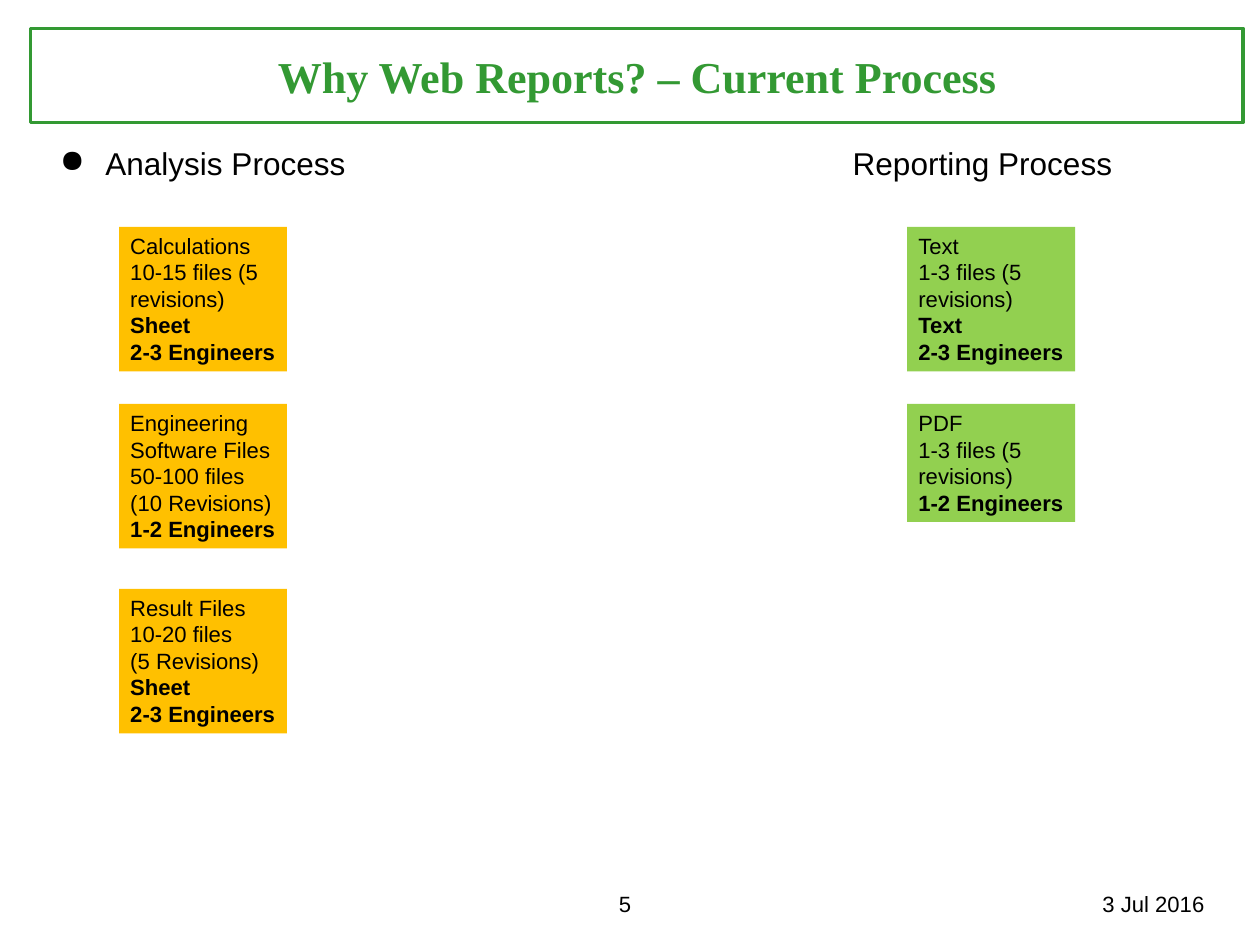
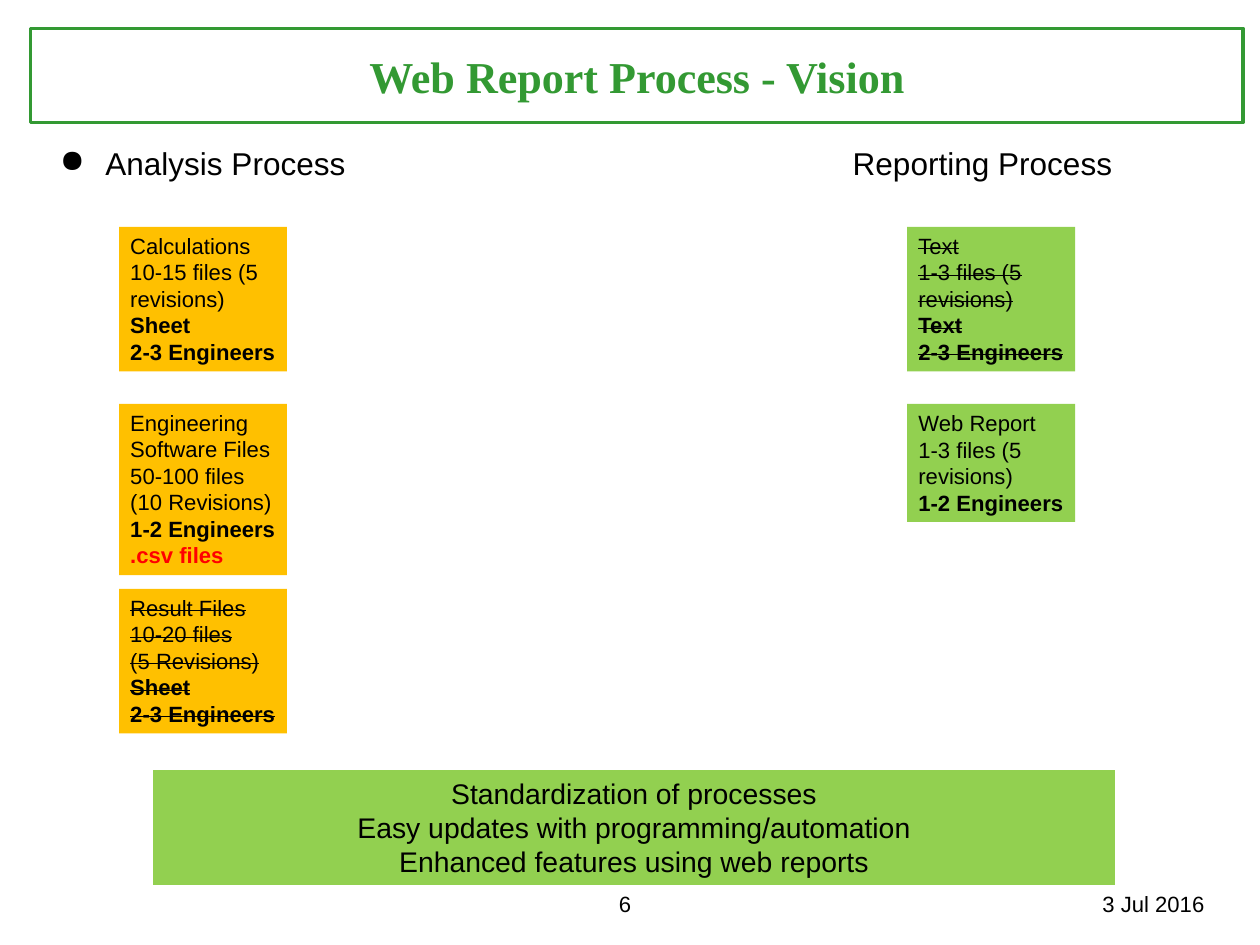
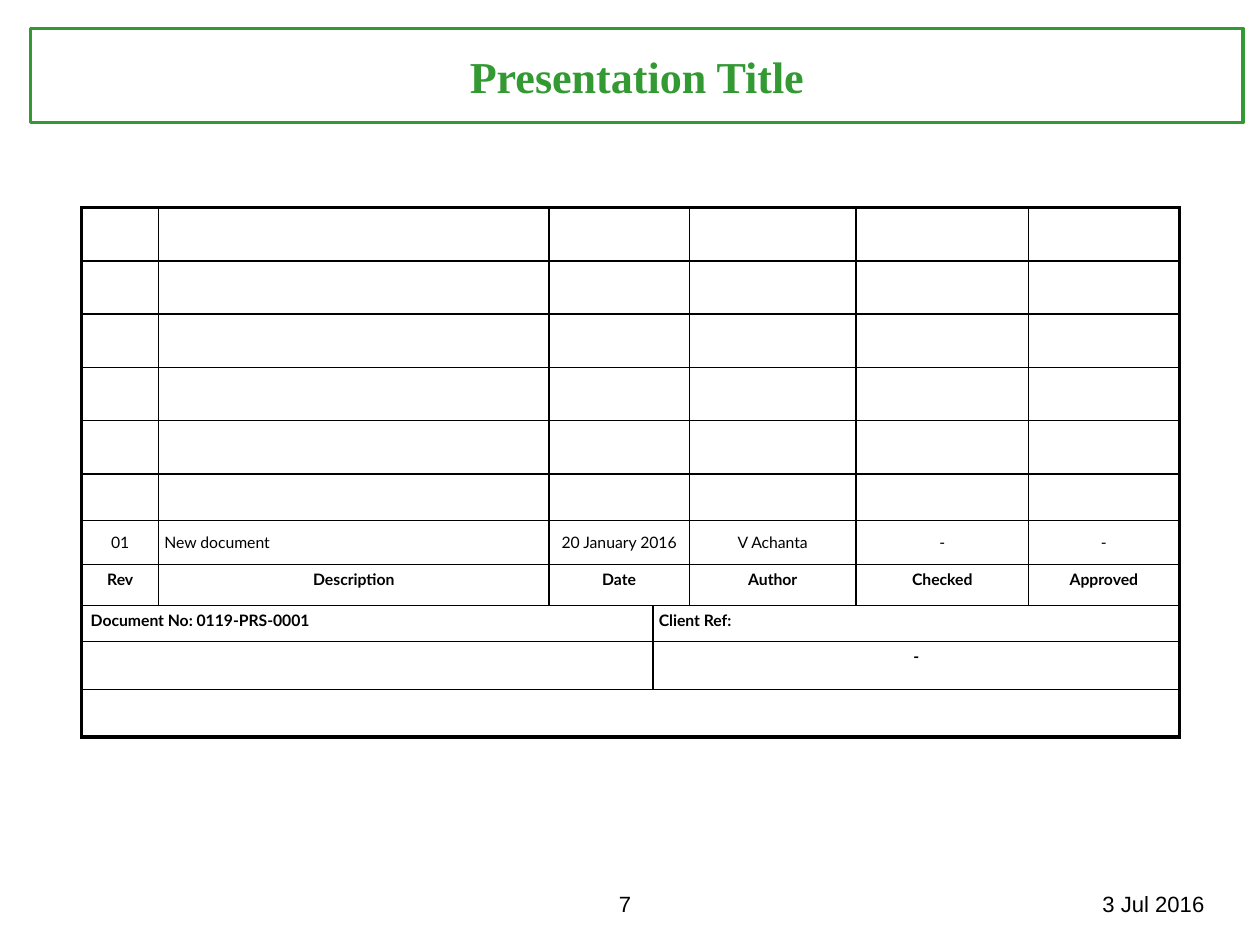
"""Build three slides on the move from current reporting to web reports."""
from lxml import etree
from pptx import Presentation
from pptx import util as u
from pptx.dml import color as dml
from pptx.enum import shapes, text
from pptx.oxml import ns

WIDTH, HEIGHT = u.Inches(11.11), u.Inches(8.33)
COLUMN, ROW = WIDTH / 100, HEIGHT / 100
COLORS = {
    "title": "339933",
    "analysis": "FFC000",
    "reporting": "92D050",
    "text": "000000",
    "alert": "FF0000",
}
CENTER, LEFT = text.PP_ALIGN.CENTER, text.PP_ALIGN.LEFT
ANALYSIS_X, REPORTING_X = 9.45, 72
STEP_ROWS = (24, 42.74, 62.3)
TABLE_COLUMNS = (6.12, 30.96, 8.28, 2.88, 13.23, 13.68, 11.97)
TABLE_ROWS = (5.64,) * 5 + (4.92, 4.68, 4.32, 3.84, 5.04, 5.04)
DATE_COLUMN, CLIENT_COLUMN = 2, 3

CALCULATIONS = (["Calculations", "10-15 files (5 revisions)"], ["Sheet", "2-3 Engineers"])
SOFTWARE = (["Engineering Software Files", "50-100 files (10 Revisions)"], ["1-2 Engineers"])
RESULTS = (["Result Files", "10-20 files", "(5 Revisions)"], ["Sheet", "2-3 Engineers"])
DRAFT = (["Text", "1-3 files (5 revisions)"], ["Text", "2-3 Engineers"])
BENEFITS = [
    "Standardization of processes",
    "Easy updates with programming/automation",
    "Enhanced features using web reports",
]


def rgb(name):
    """Return the named colour."""
    return dml.RGBColor.from_string(COLORS[name])


def place(x, y, width, height):
    """Turn grid columns and rows into lengths."""
    return [u.Emu(round(n)) for n in (x * COLUMN, y * ROW, width * COLUMN, height * ROW)]


def write(paragraph, words, size, color="text", bold=False, font="Arial", align=LEFT):
    """Fill and style one paragraph."""
    paragraph.text = words
    paragraph.alignment = align
    paragraph.font.name = font
    paragraph.font.size = u.Pt(size)
    paragraph.font.bold = bold
    paragraph.font.color.rgb = rgb(color)


def add_paragraph(frame, index):
    """Return the first paragraph, or a new one after it."""
    return frame.add_paragraph() if index else frame.paragraphs[0]


def add_label(slide, words, area, size=14, align=LEFT):
    """Add a plain one-line text box."""
    label = slide.shapes.add_textbox(*place(*area))
    label.text_frame.word_wrap = True
    write(label.text_frame.paragraphs[0], words, size, align=align)
    return label


def add_rectangle(slide, area):
    """Add a rectangle without shadow, fill or line."""
    rectangle = slide.shapes.add_shape(shapes.MSO_SHAPE.RECTANGLE, *place(*area))
    rectangle.shadow.inherit = False
    rectangle.fill.background()
    rectangle.line.fill.background()
    rectangle.text_frame.word_wrap = True
    return rectangle


def add_base(presentation, title, number):
    """Add a slide with its framed title, page number and date."""
    slide = presentation.slides.add_slide(presentation.slide_layouts[6])
    add_label(slide, "3 Jul 2016", (83.08, 93.64, 16.92, 3), align=CENTER)
    add_label(slide, str(number), (48.24, 93.64, 4.14, 4.08))
    frame = add_rectangle(slide, (2.43, 3, 96.22, 9.96))
    frame.line.color.rgb = rgb("title")
    frame.line.width = u.Pt(2.25)
    frame.text_frame.vertical_anchor = text.MSO_ANCHOR.MIDDLE
    write(frame.text_frame.paragraphs[0], title, 28, "title", True, "Times New Roman", CENTER)
    return slide


def add_headings(slide):
    """Add the bulleted analysis heading and the reporting heading."""
    analysis = add_label(slide, "Analysis Process", (3.87, 14.7, 36, 6.2), 20)
    properties = analysis.text_frame.paragraphs[0]._p.get_or_add_pPr()
    indent = u.Emu(round(3.6 * COLUMN))
    properties.set("marL", str(indent))
    properties.set("indent", str(-indent))
    bullet = etree.Element(ns.qn("a:buChar"), char="●")
    properties.insert(0, bullet)
    add_label(slide, "Reporting Process", (66.79, 14.7, 30, 6.2), 20)


def add_box(slide, area, fill, entries, size=14, align=LEFT, strike=False):
    """Add a filled box with (words, bold, colour) entries."""
    box = add_rectangle(slide, area)
    box.fill.solid()
    box.fill.fore_color.rgb = rgb(fill)
    frame = box.text_frame
    frame.vertical_anchor = text.MSO_ANCHOR.TOP
    frame.auto_size = text.MSO_AUTO_SIZE.SHAPE_TO_FIT_TEXT
    for index, (words, bold, color) in enumerate(entries):
        paragraph = add_paragraph(frame, index)
        write(paragraph, words, size, color, bold, align=align)
        if strike:
            paragraph.runs[0]._r.get_or_add_rPr().set("strike", "sngStrike")


def add_step(slide, kind, position, content, lines=5, strike=False, note=None):
    """Add one process step, sized by its number of lines."""
    plain, bold = content
    entries = [(words, False, "text") for words in plain]
    entries += [(words, True, "text") for words in bold]
    if note:
        entries.append((note, True, "alert"))
    x = ANALYSIS_X if kind == "analysis" else REPORTING_X
    area = (x, STEP_ROWS[position], 13.32, 1.2 + 2.82 * lines)
    add_box(slide, area, kind, entries, strike=strike)


def add_process(presentation, title, number, output, vision=False):
    """Add a process slide, with dropped steps struck out in the vision."""
    slide = add_base(presentation, title, number)
    add_headings(slide)
    add_step(slide, "analysis", 0, CALCULATIONS)
    note = ".csv files" if vision else None
    add_step(slide, "analysis", 1, SOFTWARE, 6 if vision else 5, note=note)
    add_step(slide, "analysis", 2, RESULTS, strike=vision)
    add_step(slide, "reporting", 0, DRAFT, strike=vision)
    add_step(slide, "reporting", 1, ([output, "1-3 files (5 revisions)"], ["1-2 Engineers"]), 4)
    return slide


def draw_borders(cell, row, column):
    """Draw thin inner and thick outer borders on a cell."""
    last_column, last_row = len(TABLE_COLUMNS) - 1, len(TABLE_ROWS) - 1
    ends_table = column + cell.span_width - 1 == last_column
    edges = []
    if not cell.is_spanned:
        edges.append(("a:lnL", column == 0))
    if not cell.is_spanned or column == last_column:
        edges.append(("a:lnR", ends_table))
    edges += [("a:lnT", row == 0), ("a:lnB", row == last_row)]
    properties = cell._tc.get_or_add_tcPr()
    for index, (tag, thick) in enumerate(edges):
        line = etree.Element(ns.qn(tag), w=str(u.Pt(2.25 if thick else 1)))
        fill = etree.SubElement(line, ns.qn("a:solidFill"))
        etree.SubElement(fill, ns.qn("a:srgbClr"), val=COLORS["text"])
        properties.insert(index, line)


def add_revision_table(slide):
    """Add the document revision table."""
    row_count, column_count = len(TABLE_ROWS), len(TABLE_COLUMNS)
    area = place(6.48, 21.97, sum(TABLE_COLUMNS), sum(TABLE_ROWS))
    table = slide.shapes.add_table(row_count, column_count, *area).table
    table.first_row = table.horz_banding = False
    for column, share in zip(table.columns, TABLE_COLUMNS):
        column.width = u.Emu(round(share * COLUMN))
    for row, share in zip(table.rows, TABLE_ROWS):
        row.height = u.Emu(round(share * ROW))

    merges = [(row, DATE_COLUMN, DATE_COLUMN + 1) for row in range(8)]
    for row in (8, 9):
        merges += [(row, 0, CLIENT_COLUMN - 1), (row, CLIENT_COLUMN, column_count - 1)]
    merges.append((10, 0, column_count - 1))
    for row, first, last in merges:
        table.cell(row, first).merge(table.cell(row, last))

    columns = (0, 1, 2, 4, 5, 6)
    revision = ("01", "New document", "20 January 2016", "V Achanta", "-", "-")
    headers = ("Rev", "Description", "Date", "Author", "Checked", "Approved")
    words = {(6, column): entry for column, entry in zip(columns, revision)}
    words.update({(7, column): entry for column, entry in zip(columns, headers)})
    words[8, 0] = "Document No: 0119-PRS-0001"
    words[8, CLIENT_COLUMN] = "Client Ref:"
    words[9, CLIENT_COLUMN] = "-"
    left_aligned = {(6, 1), (8, 0), (8, CLIENT_COLUMN)}

    for row in range(row_count):
        for column in range(column_count):
            cell = table.cell(row, column)
            cell.fill.background()
            cell.margin_left = cell.margin_right = u.Inches(0.05)
            cell.margin_top = cell.margin_bottom = u.Inches(0.05)
            draw_borders(cell, row, column)
            if (row, column) in words:
                align = LEFT if (row, column) in left_aligned else CENTER
                paragraph = cell.text_frame.paragraphs[0]
                write(paragraph, words[row, column], 10, bold=row > 6, font="Lato", align=align)
            if row == 6:
                cell.vertical_anchor = text.MSO_ANCHOR.MIDDLE
    table.cell(8, 0).margin_left = u.Inches(0.08)


def main():
    """Build and save the presentation."""
    presentation = Presentation()
    presentation.slide_width, presentation.slide_height = WIDTH, HEIGHT
    add_process(presentation, "Why Web Reports? – Current Process", 5, "PDF")
    vision = add_process(presentation, "Web Report Process - Vision", 6, "Web Report", vision=True)
    benefits = [(words, False, "text") for words in BENEFITS]
    add_box(vision, (12.15, 81.51, 76.33, 12.13), "reporting", benefits, 18, CENTER)
    add_revision_table(add_base(presentation, "Presentation Title", 7))
    presentation.save("out.pptx")


if __name__ == "__main__":
    main()
